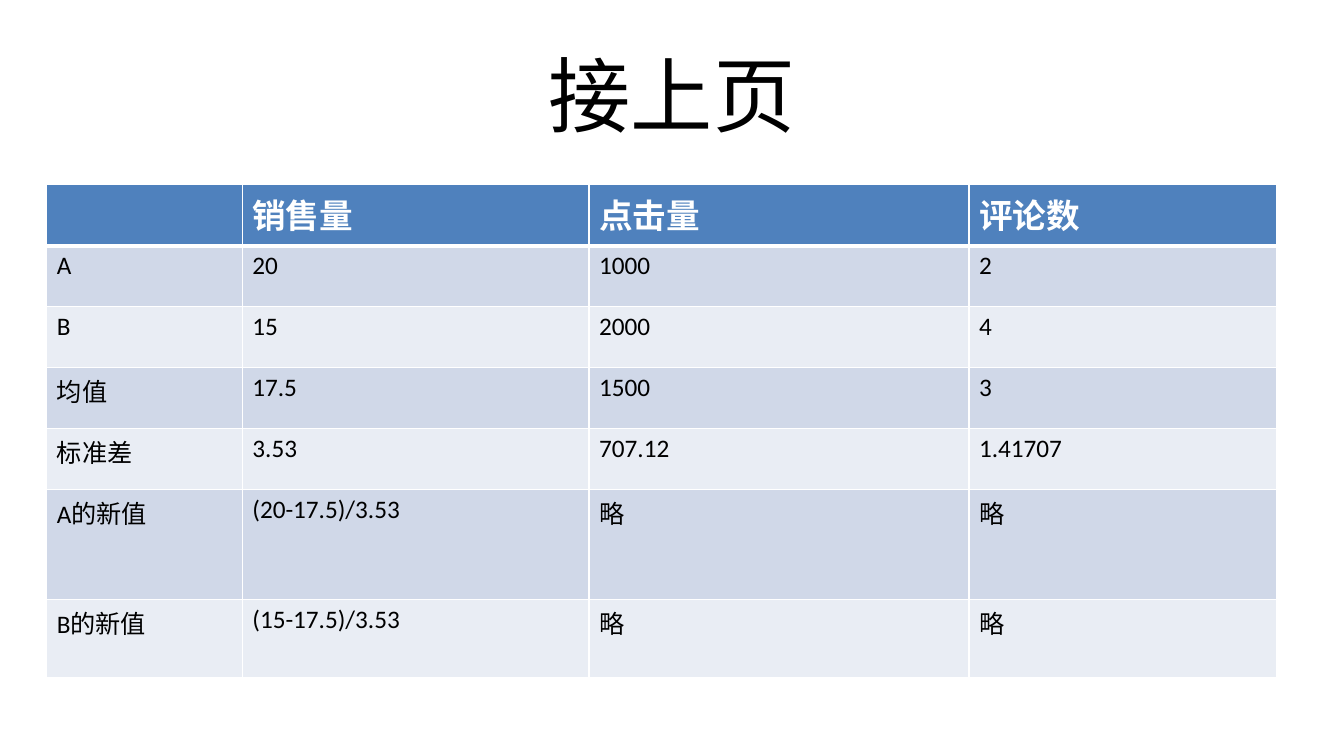
import pptx
import pptx.dml.color
import pptx.enum.text
import pptx.oxml
import pptx.oxml.ns
import pptx.util

Pt = pptx.util.Pt
RGBColor = pptx.dml.color.RGBColor

BLACK = RGBColor(0x00, 0x00, 0x00)
WHITE = RGBColor(0xFF, 0xFF, 0xFF)
HEADER_BLUE = RGBColor(0x4F, 0x81, 0xBD)
BAND_DARK = RGBColor(0xD0, 0xD8, 0xE8)
BAND_LIGHT = RGBColor(0xE9, 0xED, 0xF4)
FONT = "Calibri"

COLUMN_WIDTHS = [139.7, 247.7, 271.4, 219.6]
ROW_HEIGHTS = [43.55] * 5 + [78.5, 55.6]
ROWS = [
    ["", "销售量", "点击量", "评论数"],
    ["A", "20", "1000", "2"],
    ["B", "15", "2000", "4"],
    ["均值", "17.5", "1500", "3"],
    ["标准差", "3.53", "707.12", "1.41707"],
    ["A的新值", "(20-17.5)/3.53", "略", "略"],
    ["B的新值", "(15-17.5)/3.53", "略", "略"],
]


def style_text(para, size, color, bold=False):
    for span in para.runs:
        span.font.name = FONT
        span.font.size = Pt(size)
        span.font.bold = bold
        span.font.color.rgb = color


def add_title(page, text):
    box = page.shapes.add_textbox(Pt(48), Pt(21.6), Pt(864), Pt(90))
    frame = box.text_frame
    frame.word_wrap = True
    frame.vertical_anchor = pptx.enum.text.MSO_ANCHOR.MIDDLE
    frame.text = text
    para = frame.paragraphs[0]
    para.alignment = pptx.enum.text.PP_ALIGN.CENTER
    style_text(para, 58.7, BLACK)


def set_borders(cell, widths):
    """Draw white borders; the fill must be set afterwards to keep XML order."""
    properties = cell._tc.get_or_add_tcPr()
    for side, width in widths.items():
        properties.append(pptx.oxml.parse_xml(
            f'<a:{side} {pptx.oxml.ns.nsdecls("a")} w="{Pt(width)}">'
            f'<a:solidFill><a:srgbClr val="{WHITE}"/></a:solidFill></a:{side}>'))


def fill_cell(cell, text, row_index):
    header = row_index == 0
    set_borders(cell, {
        "lnL": 1,
        "lnR": 1,
        "lnT": 3 if row_index == 1 else 1,
        "lnB": 3 if header else 1,
    })
    band = BAND_DARK if row_index % 2 else BAND_LIGHT
    cell.fill.solid()
    cell.fill.fore_color.rgb = HEADER_BLUE if header else band
    cell.text = text
    style_text(cell.text_frame.paragraphs[0], 24 if header else 18,
               WHITE if header else BLACK, bold=header)


def add_data_table(page, rows):
    table = page.shapes.add_table(
        len(rows), len(COLUMN_WIDTHS), Pt(33.4), Pt(132),
        Pt(sum(COLUMN_WIDTHS)), Pt(sum(ROW_HEIGHTS))).table
    for column, width in zip(table.columns, COLUMN_WIDTHS):
        column.width = Pt(width)
    for row_index, values in enumerate(rows):
        table.rows[row_index].height = Pt(ROW_HEIGHTS[row_index])
        for column_index, value in enumerate(values):
            fill_cell(table.cell(row_index, column_index), value, row_index)


def main():
    deck = pptx.Presentation()
    deck.slide_width = Pt(960)
    deck.slide_height = Pt(540)
    page = deck.slides.add_slide(deck.slide_layouts[6])

    # Title
    add_title(page, "接上页")

    # Standardisation table
    add_data_table(page, ROWS)

    deck.save("out.pptx")


main()
